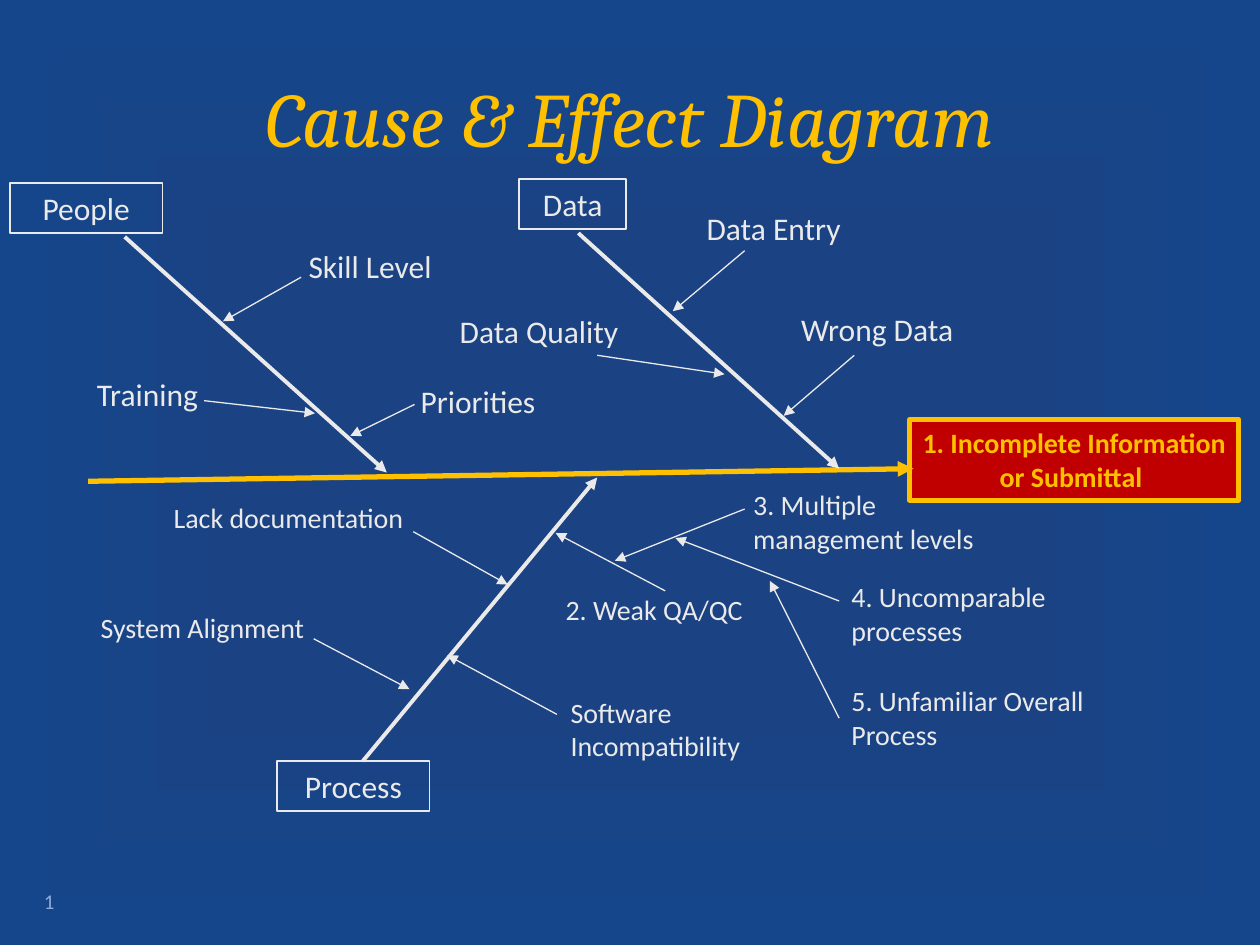
from pptx import Presentation
from pptx.dml.color import RGBColor
from pptx.enum.shapes import MSO_CONNECTOR as CONN, MSO_SHAPE as SHAPE
from pptx.enum.text import MSO_ANCHOR as ANCHOR, PP_ALIGN as ALIGN
from pptx.oxml.ns import qn
from pptx.util import Inches, Pt
from lxml import etree

COLORS = {
    "center": "1B4283",
    "edge": "15468C",
    "gold": "FFC000",
    "red": "C00000",
    "light": "EAEAEA",
    "number": "8FACD3",
}


def rgb(name):
    return RGBColor.from_string(COLORS[name])


class Diagram:
    """Holds the style and the current slide."""

    font = "Calibri"

    def __init__(self, slide):
        self.s = slide

    def background(self):
        fill = self.s.background.fill
        fill.gradient()
        for stop, color, position in zip(fill.gradient_stops, ("center", "edge"), (0.45, 1)):
            stop.color.rgb = rgb(color)
            stop.position = position
        # Radiate from the middle of the slide
        grad = self.s.element.find(".//" + qn("a:gradFill"))
        grad.remove(grad.find(qn("a:lin")))
        radial = etree.SubElement(grad, qn("a:path"))
        radial.set("path", "shape")
        etree.SubElement(radial, qn("a:fillToRect"), l="50000", t="50000", r="50000", b="50000")

    def set_text(self, sp, text, size, color="light", font=None, align=ALIGN.LEFT,
                 anchor=ANCHOR.TOP, bold=False, italic=False):
        tf = sp.text_frame
        tf.word_wrap = True
        tf.vertical_anchor = anchor
        tf.text = text
        p = tf.paragraphs[0]
        p.alignment = align
        f = p.runs[0].font
        f.name, f.size = font or self.font, Pt(size)
        f.bold, f.italic = bold, italic
        f.color.rgb = rgb(color)

    def label(self, text, x, y, w, h, size, **style):
        sp = self.s.shapes.add_textbox(Inches(x), Inches(y), Inches(w), Inches(h))
        self.set_text(sp, text, size, **style)

    def box(self, text, x, y, w, h, size, fill=None, line="light", width=1, **style):
        sp = self.s.shapes.add_shape(SHAPE.RECTANGLE, Inches(x), Inches(y), Inches(w), Inches(h))
        sp.shadow.inherit = False
        if fill:
            sp.fill.solid()
            sp.fill.fore_color.rgb = rgb(fill)
        else:
            sp.fill.background()
        sp.line.color.rgb = rgb(line)
        sp.line.width = Pt(width)
        sp.text_frame.margin_left = sp.text_frame.margin_right = Inches(0.05)
        self.set_text(sp, text, size, align=ALIGN.CENTER, **style)

    def arrow(self, x1, y1, x2, y2, width=0.75, color="light"):
        c = self.s.shapes.add_connector(CONN.STRAIGHT, Inches(x1), Inches(y1), Inches(x2), Inches(y2))
        c.line.color.rgb = rgb(color)
        c.line.width = Pt(width)
        ln = c.element.find(".//" + qn("a:ln"))
        etree.SubElement(ln, qn("a:tailEnd"), type="triangle")
        etree.SubElement(c.element.spPr, qn("a:effectLst"))

    def cause(self, text, x, y, w, size, arrow, lines=1):
        height = 0.4 if size == 18 else 0.1 + 0.27 * lines
        self.arrow(*arrow)
        self.label(text, x, y, w, height, size)


# Main branches: label, box left, top, width, arrow
BRANCHES = [
    ("Data", 4.12, 1.42, 0.85, (4.59, 1.85, 6.66, 3.72)),
    ("People", 0.08, 1.45, 1.21, (0.99, 1.88, 3.07, 3.75)),
    ("Process", 2.2, 6.04, 1.21, (2.88, 6.04, 4.74, 3.79)),
]

# Causes: label, left, top, width, size, arrow, number of lines
CAUSES = [
    ("Data Entry", 5.51, 1.61, 1.37, 18, (5.91, 1.99, 5.34, 2.47)),
    ("Data Quality", 3.55, 2.43, 1.51, 18, (4.74, 2.82, 5.75, 2.97)),
    ("Wrong Data", 6.26, 2.41, 1.45, 18, (6.78, 2.82, 6.22, 3.3)),
    ("Skill Level", 2.35, 1.91, 1.25, 18, (2.39, 2.2, 1.77, 2.55)),
    ("Training", 0.67, 2.93, 1.12, 18, (1.62, 3.18, 2.5, 3.28)),
    ("Priorities", 3.24, 2.98, 1.17, 18, (3.29, 3.21, 2.78, 3.46)),
    ("Lack documentation", 1.28, 3.92, 2.35, 16, (3.28, 4.22, 4.03, 4.64)),
    ("System Alignment", 0.7, 4.8, 2.1, 16, (2.49, 5.07, 3.25, 5.47)),
    ("Software Incompatibility", 4.43, 5.47, 2.24, 16, (4.42, 5.67, 3.55, 5.2), 2),
    ("2. Weak QA/QC", 4.39, 4.65, 1.88, 16, (5.28, 4.69, 4.41, 4.23)),
    ("3. Multiple management levels", 5.88, 3.82, 2.06, 16, (5.91, 4.04, 4.88, 4.45), 2),
    ("4. Uncomparable processes", 6.66, 4.55, 2.06, 16, (6.66, 4.77, 5.36, 4.27), 2),
    ("5. Unfamiliar Overall Process", 6.66, 5.38, 2.66, 16, (6.66, 5.7, 6.11, 4.61), 2),
]


def main():
    prs = Presentation()
    prs.slide_width, prs.slide_height = Inches(10), Inches(7.5)
    d = Diagram(prs.slides.add_slide(prs.slide_layouts[6]))
    d.background()

    # Title and slide number
    d.label("Cause & Effect Diagram", 0.5, 0.3, 9, 1.25, 44, color="gold", font="Cambria",
            align=ALIGN.CENTER, anchor=ANCHOR.MIDDLE, italic=True)
    d.label("1", 0.25, 6.95, 2.33, 0.4, 12, color="number", anchor=ANCHOR.MIDDLE)

    # Effect and spine
    d.box("1. Incomplete Information or Submittal ", 7.22, 3.33, 2.61, 0.64, 16,
          fill="red", line="gold", width=3, color="gold", bold=True)
    d.arrow(0.7, 3.82, 7.25, 3.72, 3, "gold")

    # Branches
    for name, x, y, w, bone in BRANCHES:
        d.arrow(*bone, width=2.25)
        d.box(name, x, y, w, 0.4, 18)

    # Causes
    for cause in CAUSES:
        d.cause(*cause)

    prs.save("out.pptx")


if __name__ == "__main__":
    main()
